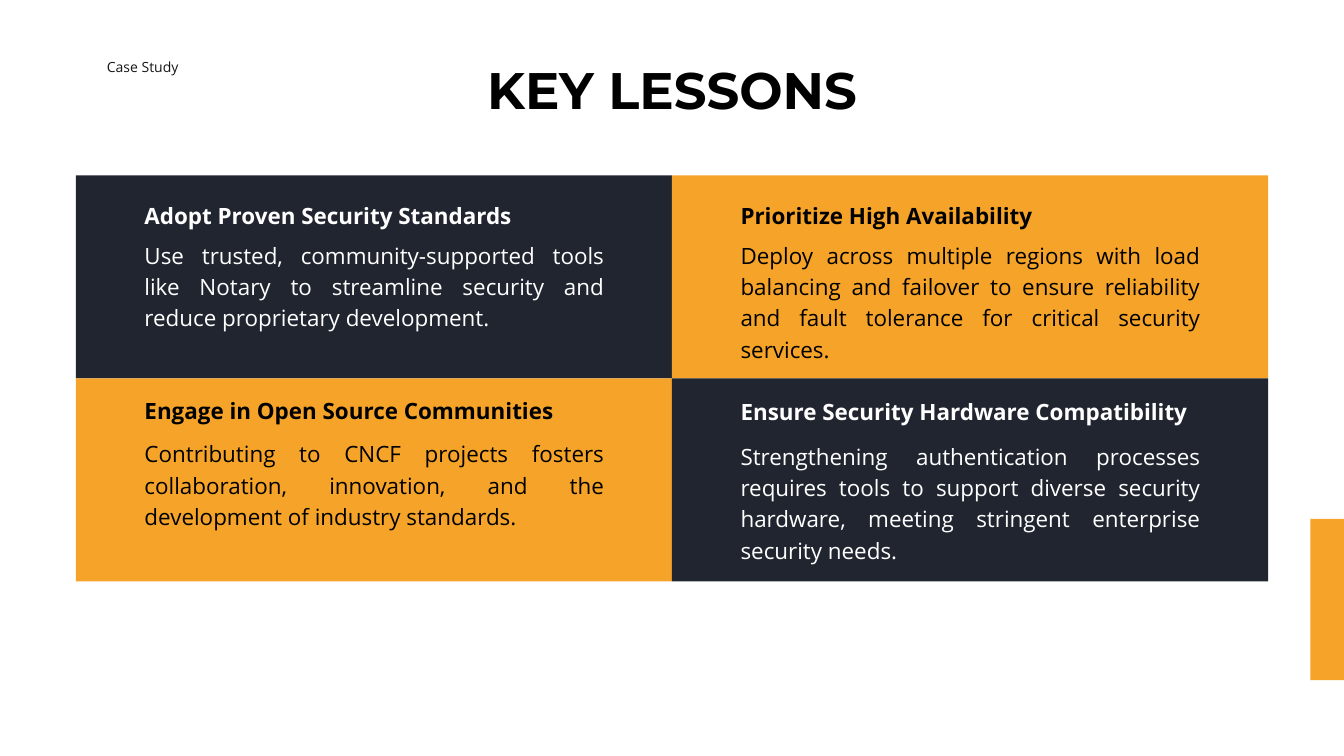
from dataclasses import dataclass

from pptx import Presentation
from pptx.dml.color import RGBColor
from pptx.enum.shapes import MSO_SHAPE
from pptx.enum.text import MSO_ANCHOR, MSO_AUTO_SIZE, PP_ALIGN
from pptx.util import Inches, Pt

RECTANGLE = MSO_SHAPE.RECTANGLE
TOP = MSO_ANCHOR.TOP
NO_AUTO_SIZE = MSO_AUTO_SIZE.NONE
LEFT, CENTER, JUSTIFY = PP_ALIGN.LEFT, PP_ALIGN.CENTER, PP_ALIGN.JUSTIFY
TITLE_ONLY = 5


@dataclass(frozen=True)
class Theme:
    orange: str = "F6A429"
    navy: str = "20252F"
    white: str = "FFFFFF"
    black: str = "000000"
    label_color: str = "171616"
    title_font: str = "Montserrat"
    body_font: str = "Open Sans"
    title_size: float = 55
    title_spacing: float = 70.4
    card_size: float = 24
    card_spacing: float = 33.6
    label_size: float = 15
    label_spacing: float = 21


@dataclass(frozen=True)
class Lesson:
    heading: str
    body: str
    heading_top: float
    body_top: float


LESSONS = [
    Lesson(
        "Adopt Proven Security Standards",
        "Use trusted, community-supported tools like Notary to streamline "
        "security and reduce proprietary development.",
        2.94, 3.53,
    ),
    Lesson(
        "Prioritize High Availability",
        "Deploy across multiple regions with load balancing and failover to "
        "ensure reliability and fault tolerance for critical security services.",
        2.94, 3.53,
    ),
    Lesson(
        "Engage in Open Source Communities",
        "Contributing to CNCF projects fosters collaboration, innovation, and "
        "the development of industry standards.",
        5.84, 6.49,
    ),
    Lesson(
        "Ensure Security Hardware Compatibility",
        "Strengthening authentication processes requires tools to support "
        "diverse security hardware, meeting stringent enterprise security needs.",
        5.86, 6.52,
    ),
]
GRID_LEFT, GRID_TOP = 1.13, 2.61
CARD_WIDTH, CARD_HEIGHT = 8.87, 3.02
TEXT_INDENT, TEXT_WIDTH = 1.02, 6.84


class SlideBuilder:
    """Draws styled elements on the current slide."""

    def __init__(self, slide, theme):
        self.slide = slide
        self.theme = theme

    def fill_text(self, shape, text, font, size, spacing, color, bold, align):
        frame = shape.text_frame
        frame.text = text
        frame.word_wrap = True
        frame.auto_size = NO_AUTO_SIZE
        frame.vertical_anchor = TOP
        frame.margin_left = frame.margin_right = 0
        frame.margin_top = frame.margin_bottom = 0
        paragraph = frame.paragraphs[0]
        paragraph.alignment = align
        paragraph.line_spacing = Pt(spacing)
        run_font = paragraph.runs[0].font
        run_font.name = font
        run_font.size = Pt(size)
        run_font.bold = bold
        run_font.color.rgb = RGBColor.from_string(color)

    def title(self, text, left, top, width, height):
        shape = self.slide.shapes.title
        shape.left, shape.top = Inches(left), Inches(top)
        shape.width, shape.height = Inches(width), Inches(height)
        theme = self.theme
        self.fill_text(shape, text, theme.title_font, theme.title_size,
                       theme.title_spacing, theme.black, True, CENTER)

    def text(self, text, left, top, width, height, size, spacing, color,
             bold=False, align=LEFT):
        shape = self.slide.shapes.add_textbox(
            Inches(left), Inches(top), Inches(width), Inches(height))
        self.fill_text(shape, text, self.theme.body_font, size, spacing, color,
                       bold, align)

    def block(self, left, top, width, height, color):
        shape = self.slide.shapes.add_shape(
            RECTANGLE, Inches(left), Inches(top), Inches(width), Inches(height))
        shape.shadow.inherit = False
        shape.fill.solid()
        shape.fill.fore_color.rgb = RGBColor.from_string(color)
        shape.line.fill.background()

    def card(self, lesson, row, column):
        theme = self.theme
        dark = row == column
        fill = theme.navy if dark else theme.orange
        color = theme.white if dark else theme.black
        left = GRID_LEFT + column * CARD_WIDTH
        self.block(left, GRID_TOP + row * CARD_HEIGHT, CARD_WIDTH, CARD_HEIGHT, fill)
        text_left = left + TEXT_INDENT
        self.text(lesson.heading, text_left, lesson.heading_top, TEXT_WIDTH, 0.42,
                  theme.card_size, theme.card_spacing, color, bold=True)
        self.text(lesson.body, text_left, lesson.body_top, TEXT_WIDTH, 1.8,
                  theme.card_size, theme.card_spacing, color, align=JUSTIFY)


def main():
    presentation = Presentation()
    presentation.slide_width = Inches(20)
    presentation.slide_height = Inches(11.25)
    slide = presentation.slides.add_slide(presentation.slide_layouts[TITLE_ONLY])
    theme = Theme()
    builder = SlideBuilder(slide, theme)

    builder.block(19.5, 7.72, 0.5, 2.4, theme.orange)
    builder.text("Case Study", 1.59, 0.83, 2.58, 0.28,
                 theme.label_size, theme.label_spacing, theme.label_color)
    builder.title("KEY LESSONS", 3.13, 0.81, 13.74, 0.96)
    for index, lesson in enumerate(LESSONS):
        row, column = divmod(index, 2)
        builder.card(lesson, row, column)

    presentation.save("out.pptx")


if __name__ == "__main__":
    main()
